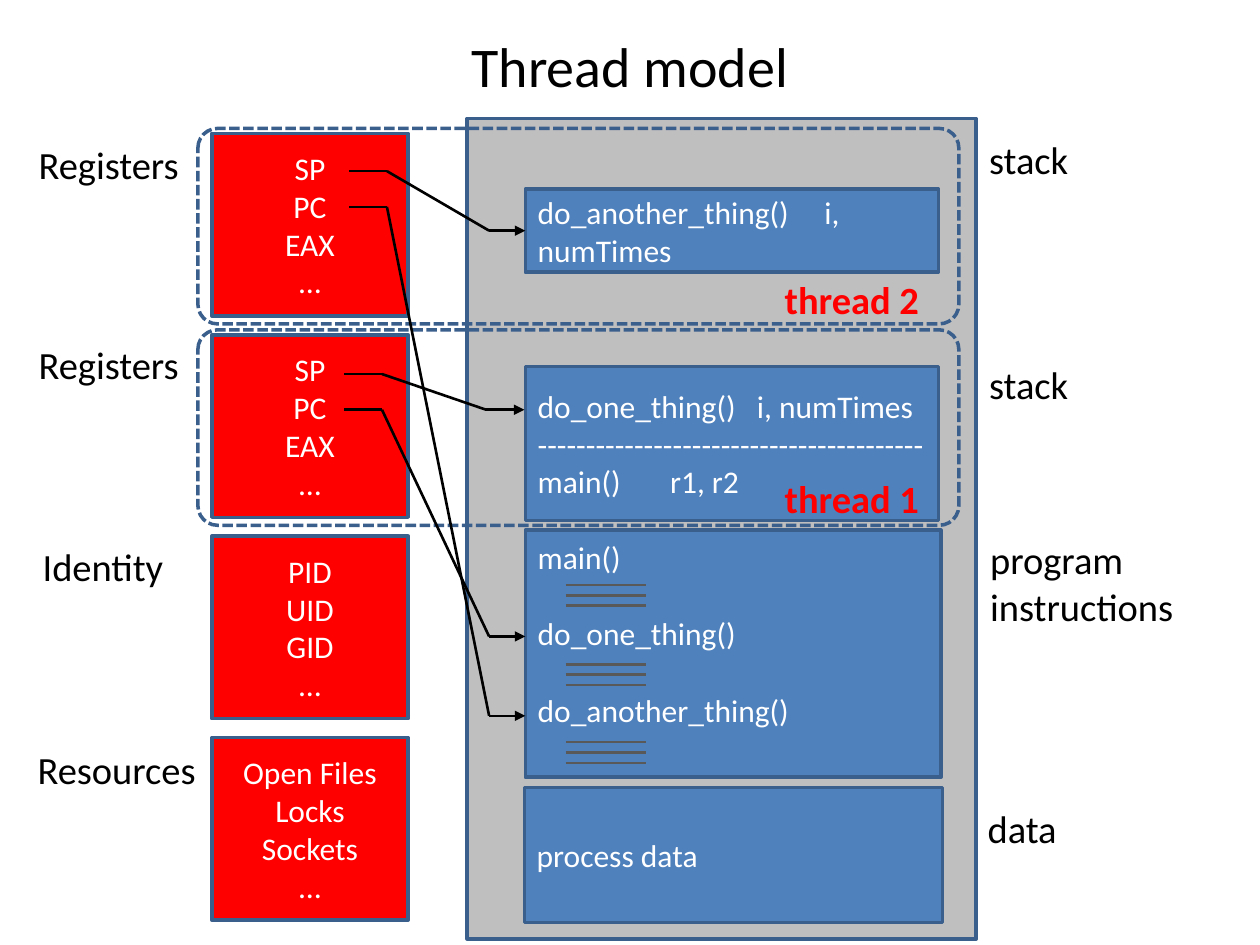
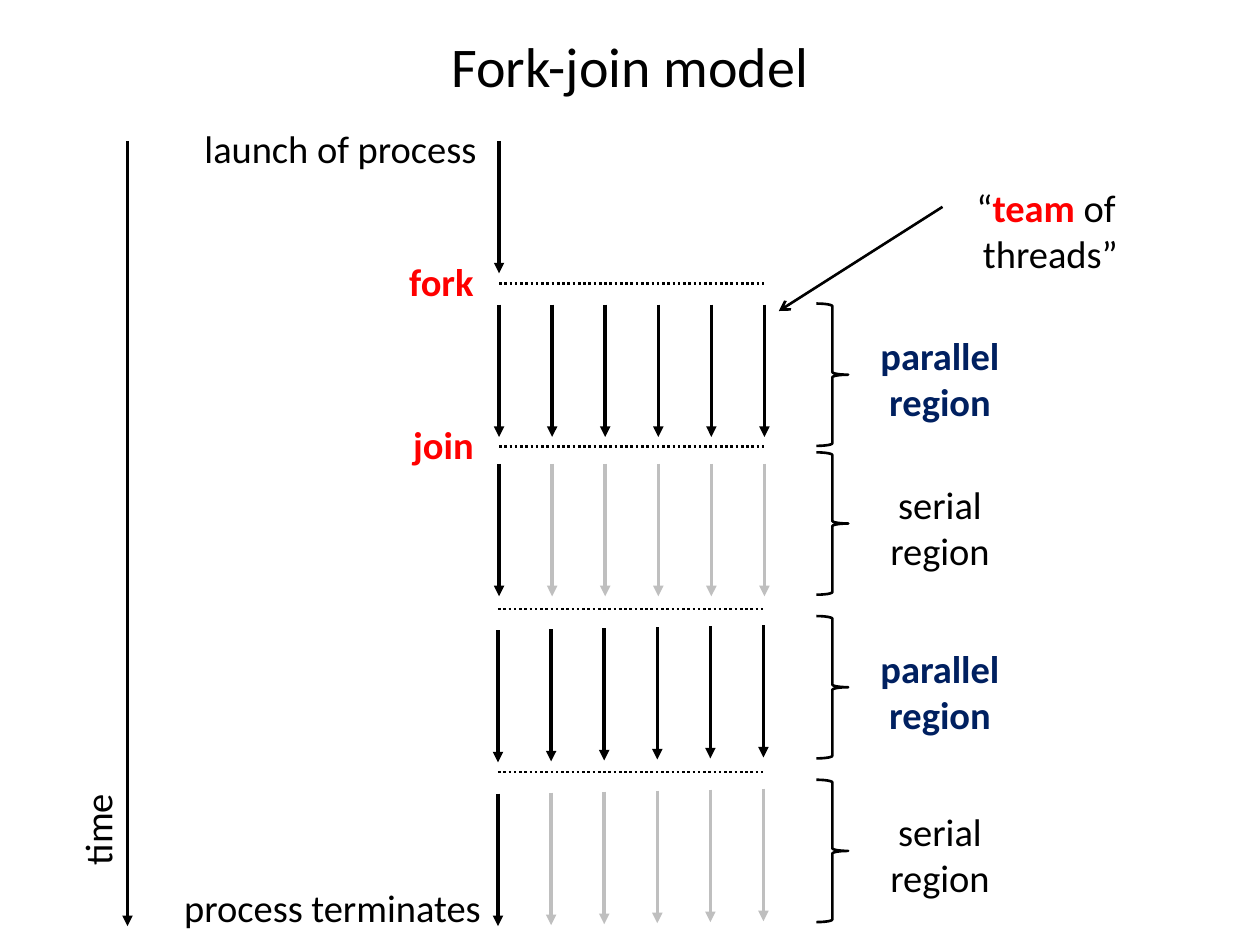
from dataclasses import dataclass
from typing import Any

from lxml.etree import SubElement
from pptx import Presentation
from pptx.dml.color import RGBColor
from pptx.enum.dml import MSO_LINE_DASH_STYLE as Dash
from pptx.enum.shapes import MSO_CONNECTOR as Link
from pptx.enum.shapes import MSO_SHAPE as Preset
from pptx.enum.text import MSO_ANCHOR as Anchor
from pptx.enum.text import MSO_AUTO_SIZE as Fit
from pptx.enum.text import PP_ALIGN as Align
from pptx.oxml.ns import qn
from pptx.util import Cm, Pt

BLACK = RGBColor(0x00, 0x00, 0x00)
WHITE = RGBColor(0xFF, 0xFF, 0xFF)
RED = RGBColor(0xFF, 0x00, 0x00)
NAVY = RGBColor(0x00, 0x20, 0x60)
BLUE = RGBColor(0x4F, 0x81, 0xBD)
BORDER = RGBColor(0x3A, 0x5F, 0x8C)
SILVER = RGBColor(0xBF, 0xBF, 0xBF)
CODE_GRAY = RGBColor(0x59, 0x59, 0x59)

TITLE_FONT = {"name": "Calibri", "size": Pt(32), "bold": False}
BOX_FONT = {"name": "Calibri", "size": Pt(18), "bold": False}
LABEL_FONT = {"name": "Calibri", "size": Pt(22), "bold": False}
BOLD_FONT = LABEL_FONT | {"bold": True}

Point = tuple[float, float]


@dataclass(frozen=True)
class Span:
    text: str
    color: RGBColor = BLACK
    bold: bool = False


Line = str | tuple[Span, ...]


@dataclass(frozen=True)
class Box:
    left: float
    top: float
    width: float
    height: float
    fill: RGBColor | None = BLUE
    lines: tuple[str, ...] = ()
    align: Align = Align.LEFT
    tabs: tuple[float, ...] = ()
    preset: Preset = Preset.RECTANGLE
    border: RGBColor = BORDER
    weight: float = 2


@dataclass(frozen=True)
class Label:
    lines: tuple[Line, ...]
    left: float
    top: float
    width: float
    color: RGBColor = BLACK
    bold: bool = False
    align: Align = Align.LEFT


@dataclass(frozen=True)
class Stroke:
    color: RGBColor = BLACK
    weight: float = 1.5
    dash: Dash | None = None
    head: str | None = None


@dataclass(frozen=True)
class Region:
    name: str
    arrow_top: float
    brace_top: float
    left: float
    drift: float


PLAIN = Stroke()
POINTER = Stroke(head="triangle")
FLOW = Stroke(weight=2, head="triangle")
IDLE = Stroke(SILVER, 2, head="triangle")
BARRIER = Stroke(dash=Dash.ROUND_DOT)


def apply_format(target: Any, values: dict[str, Any]) -> None:
    for name, value in values.items():
        setattr(target, name, value)


def add_run(paragraph: Any, text: str, font: dict[str, Any], color: RGBColor) -> None:
    run = paragraph.add_run()
    run.text = text
    apply_format(run.font, font)
    run.font.color.rgb = color


def write_lines(frame: Any, lines: tuple[Line, ...], font: dict[str, Any],
                color: RGBColor, align: Align, tabs: tuple[float, ...] = ()) -> None:
    for index, line in enumerate(lines):
        paragraph = frame.add_paragraph() if index else frame.paragraphs[0]
        paragraph.alignment = align
        if tabs and "\t" in line:
            tab_list = SubElement(paragraph._p.get_or_add_pPr(), qn("a:tabLst"))
            for stop in tabs:
                SubElement(tab_list, qn("a:tab"), pos=str(int(Cm(stop))), algn="l")
        if isinstance(line, str):
            add_run(paragraph, line, font, color)
        else:
            for span in line:
                add_run(paragraph, span.text, font | {"bold": span.bold}, span.color)


def add_titled_slide(deck: Any, heading: str) -> Any:
    slide = deck.slides.add_slide(deck.slide_layouts[5])
    title = slide.shapes.title
    apply_format(title, {"left": Cm(1.27), "top": Cm(0.43),
                         "width": Cm(22.86), "height": Cm(1.78)})
    title.text_frame.vertical_anchor = Anchor.MIDDLE
    write_lines(title.text_frame, (heading,), TITLE_FONT, BLACK, Align.CENTER)
    return slide


def draw_box(slide: Any, box: Box) -> Any:
    shape = slide.shapes.add_shape(box.preset, Cm(box.left), Cm(box.top),
                                   Cm(box.width), Cm(box.height))
    shape.shadow.inherit = False
    if box.fill is None:
        shape.fill.background()
    else:
        shape.fill.solid()
        shape.fill.fore_color.rgb = box.fill
    shape.line.color.rgb = box.border
    shape.line.width = Pt(box.weight)
    shape.text_frame.vertical_anchor = Anchor.MIDDLE
    write_lines(shape.text_frame, box.lines, BOX_FONT, WHITE, box.align, box.tabs)
    return shape


def draw_label(slide: Any, label: Label) -> Any:
    height = 0.25 + 0.94 * len(label.lines)
    shape = slide.shapes.add_textbox(Cm(label.left), Cm(label.top),
                                     Cm(label.width), Cm(height))
    apply_format(shape.text_frame, {"word_wrap": False, "auto_size": Fit.SHAPE_TO_FIT_TEXT})
    font = BOLD_FONT if label.bold else LABEL_FONT
    write_lines(shape.text_frame, label.lines, font, label.color, label.align)
    return shape


def draw_line(slide: Any, start: Point, end: Point, stroke: Stroke = PLAIN) -> Any:
    connector = slide.shapes.add_connector(Link.STRAIGHT, Cm(start[0]), Cm(start[1]),
                                           Cm(end[0]), Cm(end[1]))
    connector.line.color.rgb = stroke.color
    connector.line.width = Pt(stroke.weight)
    if stroke.dash:
        connector.line.dash_style = stroke.dash
    properties = connector.element.spPr
    if stroke.head:
        SubElement(properties.find(qn("a:ln")), qn("a:tailEnd"), type=stroke.head)
    SubElement(properties, qn("a:effectLst"))
    return connector


def draw_pointer(slide: Any, *points: Point) -> Any:
    legs = list(zip(points, points[1:]))
    for start, end in legs[:-1]:
        draw_line(slide, start, end)
    return draw_line(slide, *legs[-1], POINTER)


def build_thread_model(deck: Any) -> None:
    slide = add_titled_slide(deck, "Thread model")
    draw_box(slide, Box(9.42, 2.39, 10.26, 16.54, SILVER))

    cpu_state = ("SP", "PC", "EAX", "…")
    state_blocks = (cpu_state, cpu_state, ("PID", "UID", "GID", "…"),
                    ("Open Files", "Locks", "Sockets", "…"))
    for row, lines in enumerate(state_blocks):
        draw_box(slide, Box(4.27, 2.69 + 4.06 * row, 3.96, 3.68, RED, lines, Align.CENTER))

    second_stack = draw_box(slide, Box(10.59, 3.81, 8.33, 1.68, tabs=(5.78,),
                                       lines=("do_another_thing()\ti, numTimes",)))
    draw_box(slide, Box(10.59, 7.39, 8.33, 3.1, tabs=(2.67, 4.42), lines=(
        "do_one_thing()\ti, numTimes", "-" * 40, "main()\t\u00721, r2")))
    program = draw_box(slide, Box(10.59, 10.69, 8.38, 4.98, lines=(
        "main()", "do_one_thing()", "do_another_thing()")))
    apply_format(program.text_frame, {"vertical_anchor": Anchor.TOP, "margin_top": Cm(0.16)})
    for paragraph in program.text_frame.paragraphs[1:]:
        paragraph.space_before = Pt(22)
    draw_box(slide, Box(10.57, 15.88, 8.43, 2.72, lines=("process data",)))

    for block_top in (11.79, 13.39, 14.96):
        for step in range(3):
            height = block_top + 0.21 * step
            draw_line(slide, (11.4, height), (13.03, height), Stroke(CODE_GRAY))

    for name, frame_top, label_top in (("thread 2", 2.59, 5.44), ("thread 1", 6.65, 9.45)):
        thread = draw_box(slide, Box(3.99, frame_top, 15.34, 3.94, None,
                                     preset=Preset.ROUNDED_RECTANGLE))
        thread.adjustments[0] = 0.1
        thread.line.dash_style = Dash.SQUARE_DOT
        draw_label(slide, Label((name,), 15.57, label_top, 3.25, RED, True))

    stack_pointer = draw_pointer(slide, (7.04, 3.45), (7.8, 3.45), (9.86, 4.65), (10.59, 4.65))
    stack_pointer.end_connect(second_stack, 1)
    draw_pointer(slide, (7.04, 4.17), (7.8, 4.17), (9.86, 14.43), (10.59, 14.43))
    draw_pointer(slide, (6.93, 7.54), (7.7, 7.54), (9.8, 8.26), (10.57, 8.26))
    draw_pointer(slide, (6.93, 8.26), (7.7, 8.26), (9.86, 12.83), (10.59, 12.83))

    for label in (
        Label(("Registers",), 0.53, 2.72, 3.38),
        Label(("Registers",), 0.53, 6.76, 3.38),
        Label(("Identity",), 0.61, 10.82, 2.97),
        Label(("Resources",), 0.51, 14.91, 3.73),
        Label(("stack",), 19.69, 2.62, 2.13),
        Label(("stack",), 19.69, 7.16, 2.13),
        Label(("program", "instructions"), 19.71, 10.69, 4.24),
        Label(("data",), 19.66, 16.1, 1.91),
    ):
        draw_label(slide, label)


def build_fork_join(deck: Any) -> None:
    slide = add_titled_slide(deck, "Fork-join model")
    thread_count, thread_gap, run_length = 6, 1.07, 2.67
    draw_line(slide, (2.57, 2.84), (2.57, 18.67), FLOW)
    draw_line(slide, (10.06, 2.84), (10.06, 5.51), FLOW)

    regions = (
        Region("parallel", 6.14, 6.12, 10.06, 0),
        Region("serial", 9.35, 9.12, 10.06, 0),
        Region("parallel", 12.7, 12.42, 10.04, -0.02),
        Region("serial", 16, 15.72, 10.04, -0.02),
    )
    for index, region in enumerate(regions):
        parallel = region.name == "parallel"
        barrier = 5.72 + 3.28 * index
        draw_line(slide, (region.left, barrier),
                  (region.left + thread_gap * (thread_count - 1), barrier), BARRIER)
        for thread in range(thread_count):
            x = region.left + thread_gap * thread
            top = region.arrow_top + region.drift * thread
            draw_line(slide, (x, top), (x, top + run_length),
                      FLOW if parallel or thread == 0 else IDLE)
        draw_box(slide, Box(16.46, region.brace_top, 0.64, 2.87, None,
                            preset=Preset.RIGHT_BRACE, border=BLACK, weight=1.5))
        width = 2.95 if parallel else 2.54
        draw_label(slide, Label((region.name, "region"), 18.95 - width / 2,
                                region.brace_top + 0.45, width,
                                NAVY if parallel else BLACK, parallel, Align.CENTER))

    draw_line(slide, (19, 4.17), (15.7, 6.27), Stroke(head="arrow"))
    team = (Span("“"), Span("team", RED, True), Span(" of "))
    for label in (
        Label(("fork",), 8, 5.08, 1.83, RED, True),
        Label(("join",), 8.08, 8.36, 1.75, RED, True),
        Label(("launch of process",), 3.84, 2.39, 6.05, align=Align.CENTER),
        Label(("process terminates",), 3.43, 17.7, 6.55, align=Align.CENTER),
        Label((team, "threads”"), 19.41, 3.58, 3.53, align=Align.CENTER),
    ):
        draw_label(slide, label)
    time = draw_label(slide, Label(("time",), 0.97, 16.13, 1.98, align=Align.CENTER))
    time.rotation = 270


def main() -> None:
    deck = Presentation()
    apply_format(deck, {"slide_width": Cm(25.4), "slide_height": Cm(19.05)})
    build_thread_model(deck)
    build_fork_join(deck)
    deck.save("out.pptx")


if __name__ == "__main__":
    main()
